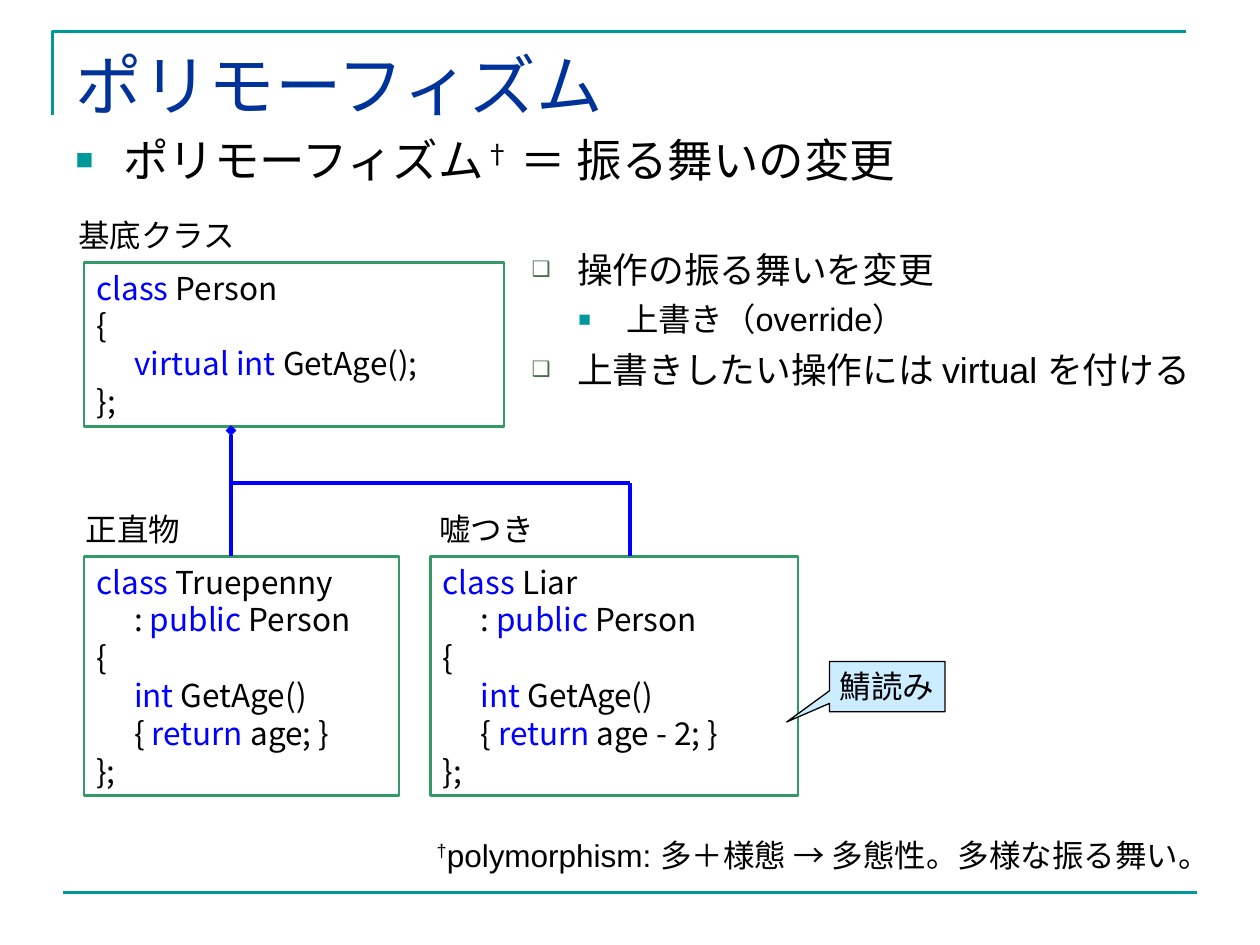
import dataclasses

import lxml.etree
import pptx
import pptx.dml.color
import pptx.enum.shapes
import pptx.enum.text
import pptx.oxml.ns
import pptx.util

COLUMNS, ROWS = 120, 90
CELL = pptx.util.Inches(10) / COLUMNS
SHAPES = pptx.enum.shapes.MSO_SHAPE
ANCHOR = pptx.enum.text.MSO_ANCHOR
ALIGN = pptx.enum.text.PP_ALIGN


@dataclasses.dataclass(frozen=True)
class Theme:
    """Colours, fonts and type sizes of the slide."""

    rule: str = "009999"
    title: str = "003399"
    text: str = "000000"
    keyword: str = "0000FF"
    frame: str = "339966"
    paper: str = "FFFFFF"
    callout: str = "CCECFF"
    box_bullet: str = "4C6D4E"
    title_font: str = "Times New Roman"
    text_font: str = "Arial"
    code_font: str = "Noto Sans CJK JP"
    title_size: float = 38
    lead_size: float = 26
    point_size: float = 20.4
    detail_size: float = 18.5
    small_size: float = 18


THEME = Theme()


def grid(*cells):
    """Convert grid cells to slide lengths."""
    return [round(cell * CELL) for cell in cells]


def rgb(value):
    """Turn a hexadecimal value into a colour."""
    return pptx.dml.color.RGBColor.from_string(value)


def add_element(parent, tag, **attributes):
    """Append a drawing element and return it."""
    return lxml.etree.SubElement(parent, pptx.oxml.ns.qn(f"a:{tag}"), attributes)


def set_bullet(paragraph, symbol, color, percent, margin, hang):
    """Give a paragraph a coloured bullet and a hanging indent."""
    properties = paragraph._p.get_or_add_pPr()
    properties.set("marL", str(pptx.util.Inches(margin)))
    properties.set("indent", str(-pptx.util.Inches(hang)))
    add_element(add_element(properties, "buClr"), "srgbClr", val=color)
    add_element(properties, "buSzPct", val=str(percent * 1000))
    add_element(properties, "buFont", typeface=THEME.text_font)
    add_element(properties, "buChar", char=symbol)


def format_paragraph(paragraph, size, font=THEME.text_font, color=THEME.text):
    """Set the type of a whole paragraph."""
    paragraph.font.size = pptx.util.Pt(size)
    paragraph.font.name = font
    paragraph.font.color.rgb = rgb(color)


def write_runs(paragraph, text, mark, emphasise):
    """Add text as runs, emphasising the parts between marks."""
    for index, part in enumerate(text.split(mark)):
        if part:
            run = paragraph.add_run()
            run.text = part
            if index % 2:
                emphasise(run)


def raise_run(run):
    """Make a run superscript."""
    run._r.get_or_add_rPr().set("baseline", "30000")


def color_keyword(run):
    """Give a run the keyword colour."""
    run.font.color.rgb = rgb(THEME.keyword)


def prepare_placeholder(placeholder, box):
    """Place a placeholder with text from the top at a fixed size."""
    placeholder.left, placeholder.top, placeholder.width, placeholder.height = grid(*box)
    frame = placeholder.text_frame
    frame.vertical_anchor = ANCHOR.TOP
    frame.auto_size = pptx.enum.text.MSO_AUTO_SIZE.NONE
    return frame


def set_outline(shape, color, width):
    """Set the colour and width of an outline."""
    shape.line.color.rgb = rgb(color)
    shape.line.width = pptx.util.Pt(width)


def add_line(slide, start, end, color, width, tail=None):
    """Draw a straight line between two grid points."""
    line = slide.shapes.add_connector(
        pptx.enum.shapes.MSO_CONNECTOR.STRAIGHT, *grid(*start, *end))
    set_outline(line, color, width)
    properties = line._element.spPr
    if tail:
        add_element(properties.find(pptx.oxml.ns.qn("a:ln")), "tailEnd", type=tail)
    add_element(properties, "effectLst")


def add_panel(slide, kind, box, fill, outline, width):
    """Draw a filled, outlined shape without shadow."""
    panel = slide.shapes.add_shape(kind, *grid(*box))
    panel.shadow.inherit = False
    panel.fill.solid()
    panel.fill.fore_color.rgb = rgb(fill)
    set_outline(panel, outline, width)
    return panel


def add_label(slide, box, text):
    """Write one unwrapped line, with superscript between marks."""
    frame = slide.shapes.add_textbox(*grid(*box)).text_frame
    frame.word_wrap = False
    paragraph = frame.paragraphs[0]
    format_paragraph(paragraph, THEME.small_size)
    write_runs(paragraph, text, "^", raise_run)


def add_class(slide, box, name, name_box, code):
    """Draw a class box with its code, and its name offset from the corner."""
    left, top = box[:2]
    panel = add_panel(slide, SHAPES.RECTANGLE, box, THEME.paper, THEME.frame, 1.5)
    frame = panel.text_frame
    frame.word_wrap = True
    frame.vertical_anchor = ANCHOR.TOP
    for index, line in enumerate(code):
        paragraph = frame.paragraphs[0] if index == 0 else frame.add_paragraph()
        paragraph.alignment = ALIGN.LEFT
        tabs = add_element(paragraph._p.get_or_add_pPr(), "tabLst")
        add_element(tabs, "tab", pos=str(pptx.util.Inches(0.3)), algn="l")
        format_paragraph(paragraph, THEME.small_size, THEME.code_font)
        write_runs(paragraph, line, "*", color_keyword)
    offset, width = name_box
    add_label(slide, (left + offset, top - 5, width, 4.8), name)


def add_frame_rules(slide):
    """Draw the corner rule at the top and the rule at the bottom."""
    builder = slide.shapes.build_freeform(*grid(5, 11), scale=1.0)
    builder.add_line_segments([grid(5, 3), grid(113, 3)], close=False)
    corner = builder.convert_to_shape()
    corner.shadow.inherit = False
    corner.fill.background()
    set_outline(corner, THEME.rule, 1.5)
    add_line(slide, (6, 85), (114, 85), THEME.rule, 1.5)


def fill_title(placeholder, box):
    """Write the slide title."""
    paragraph = prepare_placeholder(placeholder, box).paragraphs[0]
    paragraph.text = "ポリモーフィズム"
    paragraph.alignment = ALIGN.LEFT
    format_paragraph(paragraph, THEME.title_size, THEME.title_font, THEME.title)


def fill_list(placeholder, box, items):
    """Write a bulleted list of (level, text) items."""
    styles = [("■", THEME.rule, 65, 0.38, 0.38, THEME.lead_size, 6.5),
              ("❑", THEME.box_bullet, 60, 0.73, 0.36, THEME.point_size, 5.5),
              ("■", THEME.rule, 65, 1.12, 0.38, THEME.detail_size, 5)]
    frame = prepare_placeholder(placeholder, box)
    for index, (level, text) in enumerate(items):
        paragraph = frame.paragraphs[0] if index == 0 else frame.add_paragraph()
        *bullet, size, gap = styles[level]
        paragraph.level = level
        paragraph.space_before = pptx.util.Pt(gap if index else 0)
        set_bullet(paragraph, *bullet)
        format_paragraph(paragraph, size)
        write_runs(paragraph, text, "^", raise_run)


def add_inheritance(slide, base, child, top, branch, bottom):
    """Connect the derived classes to the base class."""
    add_line(slide, (base, bottom), (base, top), THEME.keyword, 2, "diamond")
    add_line(slide, (child, branch), (base, branch), THEME.keyword, 2)
    add_line(slide, (child, bottom), (child, branch), THEME.keyword, 2)


def add_callout(slide, box, text):
    """Draw a speech box pointing down to the left."""
    callout = add_panel(slide, SHAPES.RECTANGULAR_CALLOUT, box, THEME.callout, THEME.text, 0.75)
    callout.adjustments[0], callout.adjustments[1] = -0.87, 0.7
    frame = callout.text_frame
    frame.margin_left = frame.margin_right = pptx.util.Inches(0.06)
    frame.margin_top = frame.margin_bottom = pptx.util.Inches(0.04)
    frame.vertical_anchor = ANCHOR.TOP
    paragraph = frame.paragraphs[0]
    paragraph.text = text
    paragraph.alignment = ALIGN.CENTER
    format_paragraph(paragraph, THEME.small_size)


def derived_code(name, result):
    """Return the code lines of a derived class."""
    return [f"*class* {name}", "\t: *public* Person", "{", "\t*int* GetAge()",
            f"\t{{ *return* {result}; }}", "};"]


def main():
    """Build and save the slide."""
    presentation = pptx.Presentation()
    presentation.slide_width, presentation.slide_height = grid(COLUMNS, ROWS)
    slide = presentation.slides.add_slide(presentation.slide_layouts[3])
    title, lead, points = slide.placeholders
    add_frame_rules(slide)
    fill_title(title, (6, 3.6, 108, 8.4))
    fill_list(lead, (6, 12, 108, 8), [(0, "ポリモーフィズム^†^ ＝ 振る舞いの変更")])
    fill_list(points, (45, 23, 72, 17), [(1, "操作の振る舞いを変更"), (2, "上書き（override）"),
                                         (1, "上書きしたい操作には virtual を付ける")])
    add_class(slide, (8, 25, 40, 15.6), "基底クラス", (-1.75, 17.4),
              ["*class* Person", "{", "\t*virtual int* GetAge();", "};"])
    add_class(slide, (8, 53, 30, 22.8), "正直物", (-1, 11.4), derived_code("Truepenny", "age"))
    add_class(slide, (41, 53, 35, 22.8), "嘘つき", (-0.35, 11.4), derived_code("Liar", "age - 2"))
    add_inheritance(slide, 22, 60, 41, 46, 53)
    add_label(slide, (40.4, 79, 76.7, 4.8), "^†^polymorphism: 多＋様態 → 多態性。多様な振る舞い。")
    add_callout(slide, (79, 63, 11, 4.8), "鯖読み")
    presentation.save("out.pptx")


if __name__ == "__main__":
    main()
